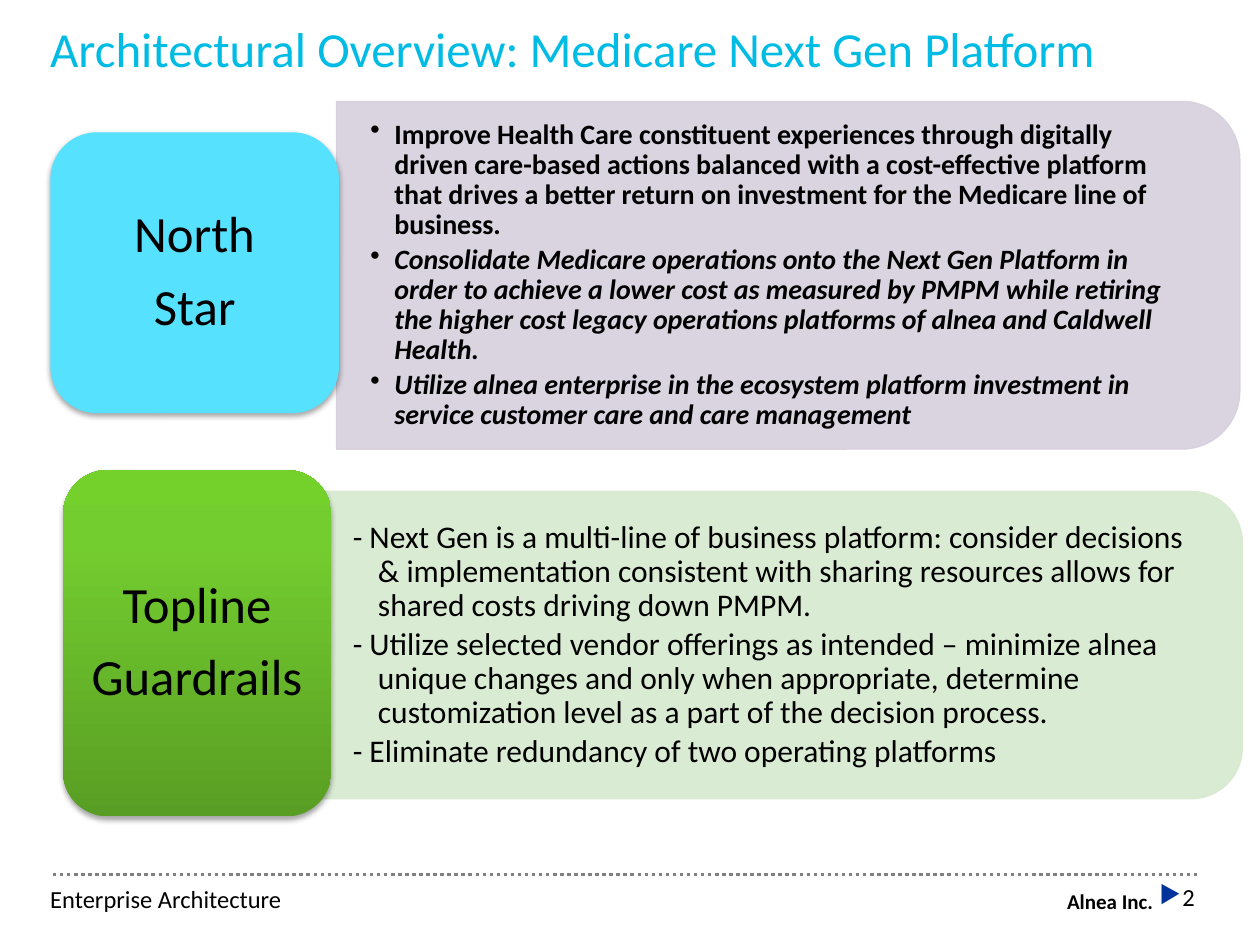
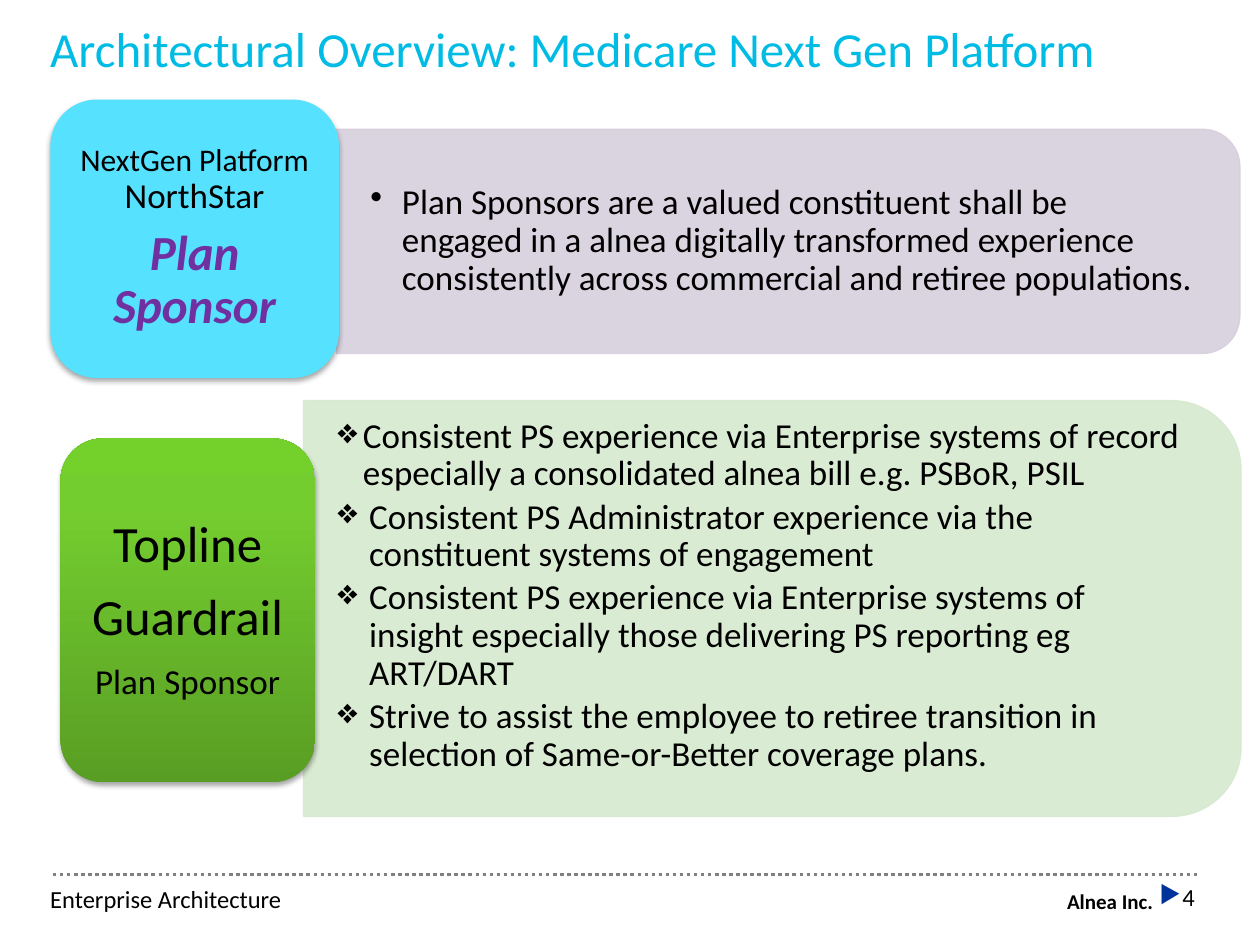
from dataclasses import dataclass

from lxml.etree import SubElement
from pptx import Presentation
from pptx.dml.color import RGBColor
from pptx.enum.dml import MSO_LINE
from pptx.enum.shapes import MSO_CONNECTOR, MSO_SHAPE
from pptx.enum.text import MSO_ANCHOR, PP_ALIGN
from pptx.oxml.ns import qn
from pptx.util import Inches, Pt

WIDTH, HEIGHT = Inches(10), Inches(7.5)
COLUMN, ROW = WIDTH / 100, HEIGHT / 75

FONT = "Calibri"
BLACK, TITLE_BLUE, RULE_GREY, MARKER_BLUE = "000000", "00BCE4", "808080", "003399"
LILAC, PALE_GREEN, CYAN, PURPLE = "D7CFDD", "D7E9CF", "56E1FF", "7030A0"
GREEN_STOPS = [(0, "599E24"), (80, "74CD2F"), (100, "74D12C")]
PANEL_OPACITY = 90
CORNER_INSET = 0.0488  # share of the short side that a rounded corner takes from the text

TITLE = "Architectural Overview: Medicare Next Gen Platform"
COMPANY = "Alnea Inc."
DEPARTMENT = "Enterprise Architecture"


@dataclass
class Box:
    """Left, top, width and height in grid columns and rows."""
    left: float
    top: float
    width: float
    height: float

    def lengths(self):
        return (round(self.left * COLUMN), round(self.top * ROW),
                round(self.width * COLUMN), round(self.height * ROW))


@dataclass
class Span:
    text: str
    size: float
    bold: bool = False
    italic: bool = False
    color: str = BLACK


@dataclass
class Bullet:
    span: Span
    mark: str = ""
    indent: float = 2


def rgb(color):
    return RGBColor.from_string(color)


def add_xml(parent, tag, **attributes):
    values = {name: str(value) for name, value in attributes.items()}
    return SubElement(parent, qn(tag), values)


def add_color(parent, color, opacity=100):
    element = add_xml(parent, "a:srgbClr", val=color)
    if opacity < 100:
        add_xml(element, "a:alpha", val=opacity * 1000)


def set_insets(frame, side, top, bottom):
    frame.margin_left = frame.margin_right = round(side * COLUMN)
    frame.margin_top, frame.margin_bottom = round(top * ROW), round(bottom * ROW)
    frame.word_wrap = True


def add_text_box(slide, box, side=1, top=0.5, bottom=0.5, anchor=MSO_ANCHOR.TOP):
    frame = slide.shapes.add_textbox(*box.lengths()).text_frame
    set_insets(frame, side, top, bottom)
    frame.vertical_anchor = anchor
    return frame


def write_paragraph(frame, spans, index=0, align=PP_ALIGN.LEFT, line=1.0, after=0):
    """Fill paragraph number index; after is a share of its largest font size."""
    paragraph = frame.add_paragraph() if index else frame.paragraphs[0]
    paragraph.alignment = align
    paragraph.line_spacing = line
    paragraph.space_after = Pt(round(after * max(span.size for span in spans), 2))
    for span in spans:
        run = paragraph.add_run()
        run.text = span.text
        font = run.font
        font.name, font.size = FONT, Pt(span.size)
        font.bold, font.italic = span.bold, span.italic
        font.color.rgb = rgb(span.color)
    return paragraph


def add_mark(paragraph, mark, indent=0, color=None):
    """Hang the first line by indent columns and put the bullet mark on it."""
    properties = paragraph._p.get_or_add_pPr()
    properties.set("marL", str(round(indent * COLUMN)))
    properties.set("indent", str(-round(indent * COLUMN)))
    if color:
        add_color(add_xml(properties, "a:buClr"), color)
    if mark:
        add_xml(properties, "a:buChar", char=mark)
    else:
        add_xml(properties, "a:buNone")


def add_frame(slide, number):
    """Title, dotted rule and footer."""
    rule = slide.shapes.add_connector(
        MSO_CONNECTOR.STRAIGHT, round(4.2 * COLUMN), round(69.4 * ROW),
        round(95 * COLUMN), round(69.4 * ROW))
    rule.line.color.rgb = rgb(RULE_GREY)
    rule.line.width = Pt(2)
    rule.line.dash_style = MSO_LINE.ROUND_DOT
    add_xml(rule._element.spPr, "a:effectLst")

    write_paragraph(add_text_box(slide, Box(76.7, 70, 15.8, 3)),
                    [Span(COMPANY, 12, bold=True)], align=PP_ALIGN.RIGHT)
    write_paragraph(add_text_box(slide, Box(3, 69.7, 70.3, 5.3)), [Span(DEPARTMENT, 14)])
    write_paragraph(add_text_box(slide, Box(3, 1.7, 91.8, 6)),
                    [Span(TITLE, 28, color=TITLE_BLUE)], line=0.85)
    page = write_paragraph(add_text_box(slide, Box(90, 69.8, 5.8, 5.2)),
                           [Span(str(number), 14)], align=PP_ALIGN.RIGHT, line=0.9)
    add_mark(page, "▶", color=MARKER_BLUE)


def add_panel(slide, box, color, bullets, lift=0):
    """Panel rounded on its right side; lift is extra room below the text."""
    upright = Box(box.left + (box.width - box.height) / 2,
                  box.top + (box.height - box.width) / 2, box.height, box.width)
    panel = slide.shapes.add_shape(MSO_SHAPE.ROUND_2_SAME_RECTANGLE, *upright.lengths())
    panel.rotation = 90
    panel.shadow.inherit = False
    panel.fill.solid()
    panel.fill.fore_color.rgb = rgb(color)
    panel.line.color.rgb = rgb(color)
    panel.line.width = Pt(0.75)
    for element in panel._element.spPr.iter(qn("a:srgbClr")):
        add_xml(element, "a:alpha", val=PANEL_OPACITY * 1000)

    inset = box.height * CORNER_INSET
    text_box = Box(box.left, box.top + inset, box.width - inset, box.height - 2 * inset)
    frame = add_text_box(slide, text_box, side=2.7, top=0, bottom=lift,
                         anchor=MSO_ANCHOR.MIDDLE)
    for index, bullet in enumerate(bullets):
        paragraph = write_paragraph(frame, [bullet.span], index, line=0.9, after=0.15)
        add_mark(paragraph, bullet.mark, bullet.indent)


def fill_gradient(shape, stops):
    shape.fill.gradient()
    shape.fill.gradient_angle = 90
    stop_list = next(shape._element.spPr.iter(qn("a:gsLst")))
    for stop in list(stop_list):
        stop_list.remove(stop)
    for position, color in stops:
        add_color(add_xml(stop_list, "a:gs", pos=position * 1000), color)


def add_tile(slide, box, fill, paragraphs, side=1.2):
    """Rounded tile with a soft shadow; fill is one colour or gradient stops."""
    tile = slide.shapes.add_shape(MSO_SHAPE.ROUNDED_RECTANGLE, *box.lengths())
    if isinstance(fill, str):
        tile.fill.solid()
        tile.fill.fore_color.rgb = rgb(fill)
    else:
        fill_gradient(tile, fill)
    tile.line.fill.background()
    tile.shadow.inherit = False
    effects = tile._element.spPr.find(qn("a:effectLst"))
    shadow = add_xml(effects, "a:outerShdw", blurRad=Pt(3.1), dist=Pt(1.8),
                     dir=90 * 60000, rotWithShape=0)
    add_color(shadow, BLACK, 35)

    frame = tile.text_frame
    set_insets(frame, side, side / 2, side / 2)
    frame.vertical_anchor = MSO_ANCHOR.MIDDLE
    for index, spans in enumerate(paragraphs):
        write_paragraph(frame, spans, index, PP_ALIGN.CENTER, line=0.9, after=0.35)


def add_platform_slide(slide):
    add_frame(slide, 2)
    goals = [
        ("Improve Health Care constituent experiences through digitally driven care-based "
         "actions balanced with a cost-effective platform that drives a better return on "
         "investment for the Medicare line of business.", False),
        ("Consolidate Medicare operations onto the Next Gen Platform in order to achieve a "
         "lower cost as measured by PMPM while retiring the higher cost legacy operations "
         "platforms of alnea and Caldwell Health.", True),
        ("Utilize alnea enterprise in the ecosystem platform investment in service customer "
         "care and care management", True),
    ]
    add_panel(slide, Box(26.7, 8.05, 71.7, 27.6), LILAC,
              [Bullet(Span(text, 16, True, italic), "•", 1.9) for text, italic in goals])
    add_tile(slide, Box(4, 10.5, 22.9, 22.3), CYAN,
             [[Span(word, 29)] for word in ("North", "Star")])

    guardrails = [
        "- Next Gen is a multi-line of business platform: consider decisions & implementation "
        "consistent with sharing resources allows for shared costs driving down PMPM.",
        "- Utilize selected vendor offerings as intended – minimize alnea unique changes and "
        "only when appropriate, determine customization level as a part of the decision "
        "process.",
        "- Eliminate redundancy of two operating platforms",
    ]
    add_panel(slide, Box(25.3, 39, 73.3, 24.4), PALE_GREEN,
              [Bullet(Span(text, 18)) for text in guardrails])
    add_tile(slide, Box(5, 37.3, 21.3, 27.5), GREEN_STOPS,
             [[Span(word, 29)] for word in ("Topline", "Guardrails")])


def add_sponsor_slide(slide):
    add_frame(slide, 4)
    goal = ("Plan Sponsors are a valued constituent shall be engaged in a alnea digitally "
            "transformed experience consistently across commercial and retiree populations.")
    add_panel(slide, Box(26.7, 10.25, 71.7, 17.8), LILAC,
              [Bullet(Span(goal, 20), "•", 2.5)])
    add_tile(slide, Box(4, 7.9, 22.9, 22.1), CYAN,
             [[Span("NextGen Platform ", 18), Span("NorthStar", 20)],
              [Span("Plan Sponsor", 28, True, True, PURPLE)]], side=0.7)

    guardrails = [
        ("Consistent PS experience via Enterprise systems of record especially a "
         "consolidated alnea bill e.g. PSBoR, PSIL", 2),
        ("Consistent PS Administrator experience via the constituent systems of "
         "engagement", 2.5),
        ("Consistent PS experience via Enterprise systems of insight especially those "
         "delivering PS reporting eg ART/DART", 2.5),
        ("Strive to assist the employee to retiree transition in selection of "
         "Same-or-Better coverage plans.", 2.5),
    ]
    add_panel(slide, Box(24.1, 31.8, 74.4, 33), PALE_GREEN,
              [Bullet(Span(text, 20), "❖", indent) for text, indent in guardrails], lift=2)
    add_tile(slide, Box(4.8, 34.8, 20.2, 27.3), GREEN_STOPS,
             [[Span("Topline", 29)], [Span("Guardrail", 29)], [Span("Plan Sponsor", 20)]])


def main():
    presentation = Presentation()
    presentation.slide_width, presentation.slide_height = WIDTH, HEIGHT
    blank = presentation.slide_layouts[6]
    for build in (add_platform_slide, add_sponsor_slide):
        build(presentation.slides.add_slide(blank))
    presentation.save("out.pptx")


if __name__ == "__main__":
    main()
